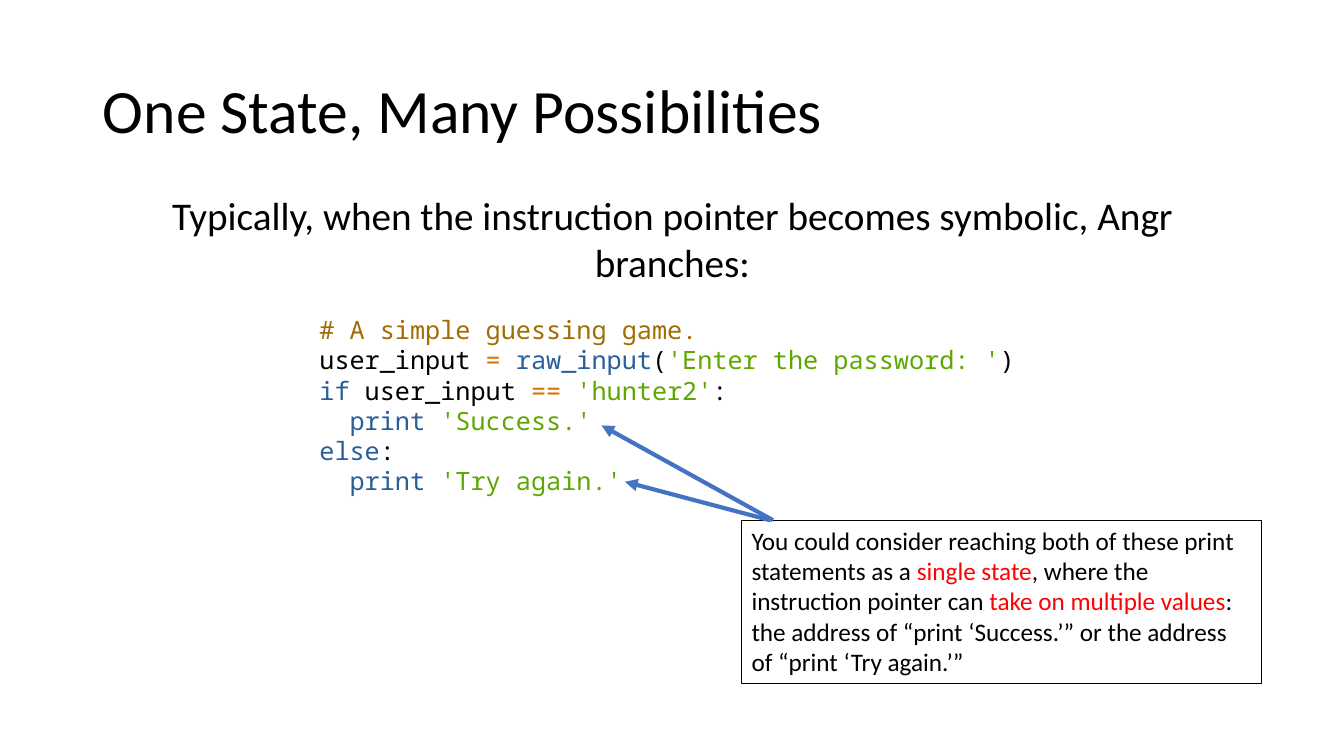
from dataclasses import dataclass

from pptx import Presentation
from pptx import util as u
from pptx.dml.color import RGBColor
from pptx.enum import shapes, text
from pptx.oxml.ns import qn
from lxml import etree


@dataclass(frozen=True)
class Theme:
    ink: str = "000000"
    accent: str = "4472C4"
    emphasis: str = "FF0000"
    comment: str = "A16C00"
    operator: str = "D97100"
    keyword: str = "295E99"
    string: str = "5EA702"
    body_font: str = "Calibri"
    code_font: str = "Noto Sans Mono"
    title_size: int = 44
    lead_size: int = 28
    text_size: int = 18
    code_leading: float = 21.6


class SlideBuilder:
    def __init__(self, presentation, theme):
        self.theme = theme
        self.slide = presentation.slides.add_slide(presentation.slide_layouts[5])

    def fill_text(self, frame, lines, size, font=None, align=text.PP_ALIGN.LEFT,
                  anchor=text.MSO_ANCHOR.TOP, spacing=None):
        frame.word_wrap = True
        frame.auto_size = text.MSO_AUTO_SIZE.NONE
        frame.vertical_anchor = anchor
        for index, line in enumerate(lines):
            paragraph = frame.add_paragraph() if index else frame.paragraphs[0]
            paragraph.alignment = align
            if spacing:
                paragraph.line_spacing = spacing
            paragraph.font.name = font or self.theme.body_font
            paragraph.font.size = u.Pt(size)
            paragraph.font.color.rgb = RGBColor.from_string(self.theme.ink)
            for words, color in line:
                run = paragraph.add_run()
                run.text = words
                if color != self.theme.ink:
                    run.font.color.rgb = RGBColor.from_string(color)

    def title(self, words, left, top, width, height):
        shape = self.slide.shapes.title
        shape.left, shape.top = u.Cm(left), u.Cm(top)
        shape.width, shape.height = u.Cm(width), u.Cm(height)
        self.fill_text(shape.text_frame, [[(words, self.theme.ink)]], self.theme.title_size,
                       anchor=text.MSO_ANCHOR.MIDDLE, spacing=0.9)

    def text_box(self, lines, left, top, width, height, size, **style):
        shape = self.slide.shapes.add_textbox(*map(u.Cm, (left, top, width, height)))
        self.fill_text(shape.text_frame, lines, size, **style)

    def callout(self, lines, left, top, width, height):
        shape = self.slide.shapes.add_shape(
            shapes.MSO_SHAPE.RECTANGLE, *map(u.Cm, (left, top, width, height)))
        shape.shadow.inherit = False
        shape.fill.background()
        shape.line.color.rgb = RGBColor.from_string(self.theme.ink)
        shape.line.width = u.Pt(0.75)
        self.fill_text(shape.text_frame, lines, self.theme.text_size)

    def arrow(self, start, end):
        connector = self.slide.shapes.add_connector(
            shapes.MSO_CONNECTOR.STRAIGHT, *map(u.Cm, start + end))
        connector.line.color.rgb = RGBColor.from_string(self.theme.accent)
        connector.line.width = u.Pt(3)
        properties = connector.element.spPr
        etree.SubElement(properties.find(qn("a:ln")), qn("a:tailEnd"), type="triangle")
        etree.SubElement(properties, qn("a:effectLst"))


def main():
    presentation = Presentation()
    presentation.slide_width = u.Cm(33.87)
    presentation.slide_height = u.Cm(19.05)
    theme = Theme()
    builder = SlideBuilder(presentation, theme)

    builder.title("One State, Many Possibilities", 2.34, 1.02, 29.21, 3.68)
    lead = "Typically, when the instruction pointer becomes symbolic, Angr branches:"
    builder.text_box([[(lead, theme.ink)]], 2.34, 4.7, 29.21, 2.64, theme.lead_size,
                     align=text.PP_ALIGN.CENTER)

    code = [
        [("# A simple guessing game.", theme.comment)],
        [("user_input ", theme.ink), ("= ", theme.operator), ("raw_input", theme.keyword),
         ("(", theme.ink), ("'Enter the password: '", theme.string), (")", theme.ink)],
        [("if ", theme.keyword), ("user_input ", theme.ink), ("== ", theme.operator),
         ("'hunter2'", theme.string), (":", theme.ink)],
        [("  print ", theme.keyword), ("'Success.'", theme.string)],
        [("else", theme.keyword), (":", theme.ink)],
        [("  print ", theme.keyword), ("'Try again.'", theme.string)],
    ]
    builder.text_box(code, 7.8, 7.8, 18.29, 4.88, theme.text_size,
                     font=theme.code_font, spacing=u.Pt(theme.code_leading))

    builder.callout([[
        ("You could consider reaching both of these print statements as a ", theme.ink),
        ("single state", theme.emphasis),
        (", where the instruction pointer can ", theme.ink),
        ("take on multiple values", theme.emphasis),
        (": the address of “print ‘Success.’” or the address of “print ‘Try again.’”",
         theme.ink),
    ]], 18.69, 13.11, 13.11, 4.11)
    builder.arrow((19.48, 13.11), (15.16, 10.72))
    builder.arrow((19.41, 13.11), (15.75, 12.14))

    presentation.save("out.pptx")


if __name__ == "__main__":
    main()
